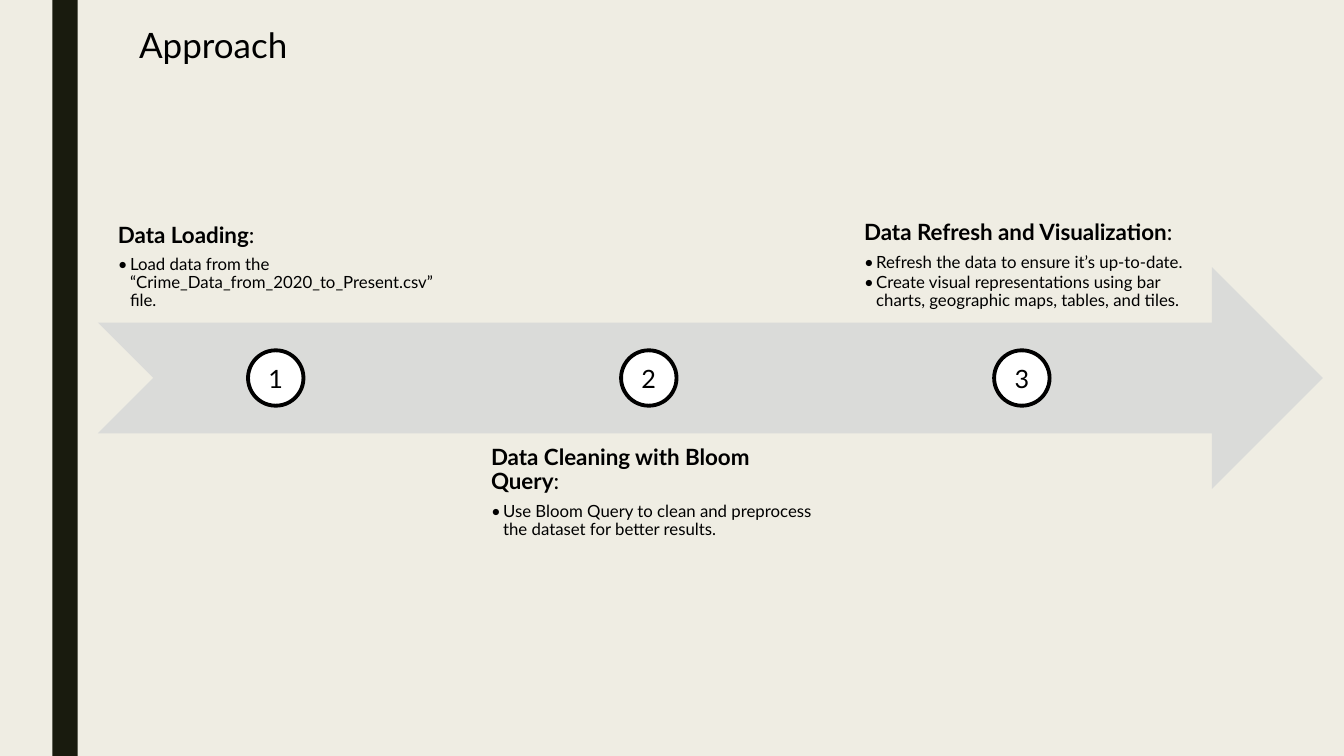
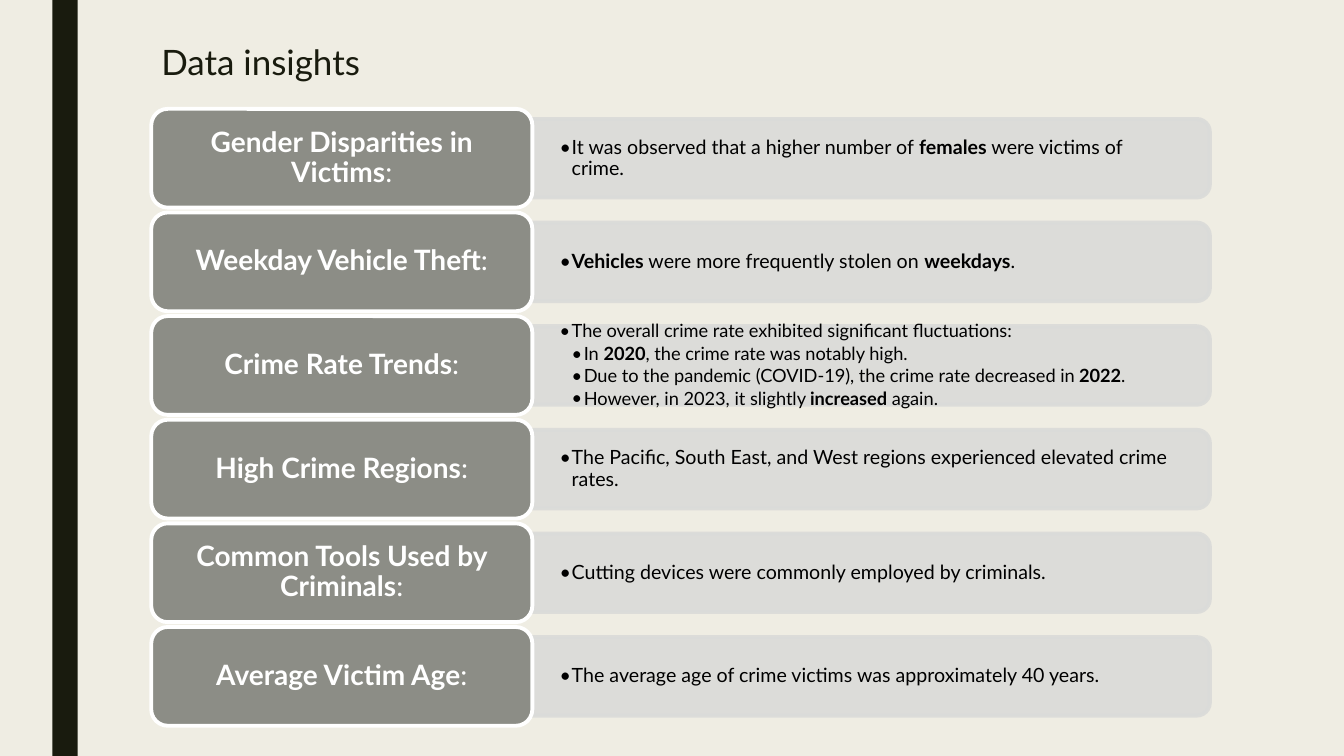
from lxml.etree import SubElement
from pptx import Presentation
from pptx.dml.color import RGBColor
from pptx.enum.shapes import MSO_SHAPE as Shape
from pptx.enum.text import MSO_ANCHOR as Anchor, PP_ALIGN as Align
from pptx.oxml.ns import qn
from pptx.util import Inches, Pt

# Shared look
FONT = "Lato"
CREAM = RGBColor(0xEF, 0xED, 0xE3)
DARK = RGBColor(0x19, 0x1B, 0x0E)
BLACK = RGBColor(0, 0, 0)
WHITE = RGBColor(0xFF, 0xFF, 0xFF)
LIGHT_GRAY = RGBColor(0xDA, 0xDB, 0xD9)
GRAY = RGBColor(0x8C, 0x8D, 0x86)
OUTLINE = 2.75
BULLET_INDENT = 0.12

# Content: ** switches bold on and off
STEPS = [
    ("**Data Loading**:",
     ["Load data from the “Crime_Data_from_2020_to_Present.csv” file."]),
    ("**Data Cleaning with Bloom Query**:",
     ["Use Bloom Query to clean and preprocess the dataset for better results."]),
    ("**Data Refresh and Visualization**:",
     ["Refresh the data to ensure it’s up-to-date.",
      "Create visual representations using bar charts, geographic maps, tables, and tiles."]),
]

# Each insight: label, text size, (level, text) bullets
INSIGHTS = [
    ("**Gender Disparities in Victims**:", 14,
     [(1, "It was observed that a higher number of **females** were victims of crime.")]),
    ("**Weekday Vehicle Theft**:", 14,
     [(1, "**Vehicles** were more frequently stolen on **weekdays**.")]),
    ("**Crime Rate Trends**:", 13,
     [(1, "The overall crime rate exhibited significant fluctuations:"),
      (2, "In **2020**, the crime rate was notably high."),
      (2, "Due to the pandemic (COVID-19), the crime rate decreased in **2022**."),
      (2, "However, in 2023, it slightly **increased** again.")]),
    ("**High Crime Regions**:", 14,
     [(1, "The Pacific, South East, and West regions experienced elevated crime rates.")]),
    ("**Common Tools Used by Criminals**:", 14,
     [(1, "Cutting devices were commonly employed by criminals.")]),
    ("**Average Victim Age**:", 14,
     [(1, "The average age of crime victims was approximately 40 years.")]),
]


def set_attributes(target, **values):
    for name, value in values.items():
        setattr(target, name, value)


def add_shape(slide, kind, box, fill, line=None):
    shape = slide.shapes.add_shape(kind, *map(Inches, box))
    shape.shadow.inherit = False
    shape.fill.solid()
    shape.fill.fore_color.rgb = fill
    if line is None:
        shape.line.fill.background()
    else:
        shape.line.color.rgb = line
        shape.line.width = Pt(OUTLINE)
    return shape


def set_opacity(shape, percent):
    for color in shape.element.spPr.iter(qn("a:srgbClr")):
        SubElement(color, qn("a:alpha"), val=str(percent * 1000))


def set_frame(shape, anchor, side, edge):
    frame = shape.text_frame
    set_attributes(frame, word_wrap=True, vertical_anchor=anchor,
                   margin_left=Inches(side), margin_right=Inches(side),
                   margin_top=Inches(edge), margin_bottom=Inches(edge))
    return frame


def add_text_box(slide, box, anchor, side, edge):
    return set_frame(slide.shapes.add_textbox(*map(Inches, box)), anchor, side, edge)


def write(frame, text, size, color=BLACK, level=0, align=Align.LEFT,
          line_spacing=0.9, after=0.0):
    """Fill the empty first paragraph or add one; level 0 has no bullet."""
    paragraph = frame.paragraphs[0]
    if paragraph.runs:
        paragraph = frame.add_paragraph()
    if level:
        properties = paragraph._p.get_or_add_pPr()
        properties.set("marL", str(Inches(BULLET_INDENT * level)))
        properties.set("indent", str(-Inches(BULLET_INDENT)))
        SubElement(properties, qn("a:buFont"), typeface=FONT)
        SubElement(properties, qn("a:buChar"), char="•")
    set_attributes(paragraph, level=level, alignment=align, line_spacing=line_spacing,
                   space_before=Pt(0), space_after=Pt(size * after))
    for index, part in enumerate(text.split("**")):
        if part:
            run = paragraph.add_run()
            run.text = part
            set_attributes(run.font, name=FONT, size=Pt(size), bold=index % 2 == 1)
            run.font.color.rgb = color


def add_titled_slide(presentation, title, box, color):
    slide = presentation.slides.add_slide(presentation.slide_layouts[5])
    left, top, width, height = map(Inches, box)
    set_attributes(slide.shapes.title, left=left, top=top, width=width, height=height)
    frame = set_frame(slide.shapes.title, Anchor.TOP, 0.1, 0.05)
    write(frame, title, 25, color, line_spacing=0.89)
    return slide


def style_master(presentation, slide):
    """Give the master its background and its dark vertical band."""
    master = presentation.slide_master
    master.background.fill.solid()
    master.background.fill.fore_color.rgb = CREAM
    band = add_shape(slide, Shape.RECTANGLE, (0.52, 0, 0.25, 7.5), DARK)
    master.shapes.element.insert(2, band.element)


def build_approach(slide):
    text_left, circle_left, pitch = 1.05, 2.46, 3.7
    circle = 0.55
    add_shape(slide, Shape.NOTCHED_RIGHT_ARROW, (0.97, 2.65, 12.15, 2.2), LIGHT_GRAY)
    for index, (heading, bullets) in enumerate(STEPS):
        offset = index * pitch
        # Step text alternates above and below the arrow
        top, anchor = ((1, Anchor.BOTTOM), (4.31, Anchor.TOP))[index % 2]
        frame = add_text_box(slide, (text_left + offset, top, 3.52, 2.2), anchor, 0.12, 0.12)
        write(frame, heading, 16, after=0.35)
        for bullet in bullets:
            write(frame, bullet, 12, level=1, after=0.15)
        # Numbered circle
        marker = add_shape(slide, Shape.OVAL,
                           (circle_left + offset, 3.475, circle, circle), WHITE, BLACK)
        write(set_frame(marker, Anchor.MIDDLE, 0, 0), str(index + 1), 18,
              align=Align.CENTER, line_spacing=1.0)


def build_insights(slide):
    left, top, label_width, label_height = 1.5, 1.08, 3.78, 0.98
    pitch = (6.22 - top) / (len(INSIGHTS) - 1)
    bar_width, bar_height, text_height = 6.72, 0.78, 0.71
    bar_left = left + label_width
    for index, (label, size, bullets) in enumerate(INSIGHTS):
        y = top + index * pitch
        middle = y + label_height / 2
        # Bar: an upright shape turned so that its round corners face right
        bar = add_shape(slide, Shape.ROUND_2_SAME_RECTANGLE,
                        (bar_left + (bar_width - bar_height) / 2, middle - bar_width / 2,
                         bar_height, bar_width), LIGHT_GRAY, LIGHT_GRAY)
        bar.rotation = 90
        set_opacity(bar, 90)
        frame = add_text_box(slide, (bar_left, middle - text_height / 2, 6.68, text_height),
                             Anchor.MIDDLE, 0.27, 0.14)
        for level, bullet in bullets:
            write(frame, bullet, size, level=level, after=0.15)
        # Label
        box = add_shape(slide, Shape.ROUNDED_RECTANGLE,
                        (left, y, label_width, label_height), GRAY, WHITE)
        write(set_frame(box, Anchor.MIDDLE, 0.13, 0.08), label, 20, WHITE,
              align=Align.CENTER, after=0.35)


def main():
    presentation = Presentation()
    set_attributes(presentation, slide_width=Inches(13.33), slide_height=Inches(7.5))
    approach = add_titled_slide(presentation, "Approach", (1.28, 0.23, 10.5, 0.6), BLACK)
    style_master(presentation, approach)
    build_approach(approach)
    insights = add_titled_slide(presentation, "Data insights", (1.5, 0.4, 10.5, 0.68), DARK)
    build_insights(insights)
    presentation.save("out.pptx")


if __name__ == "__main__":
    main()
